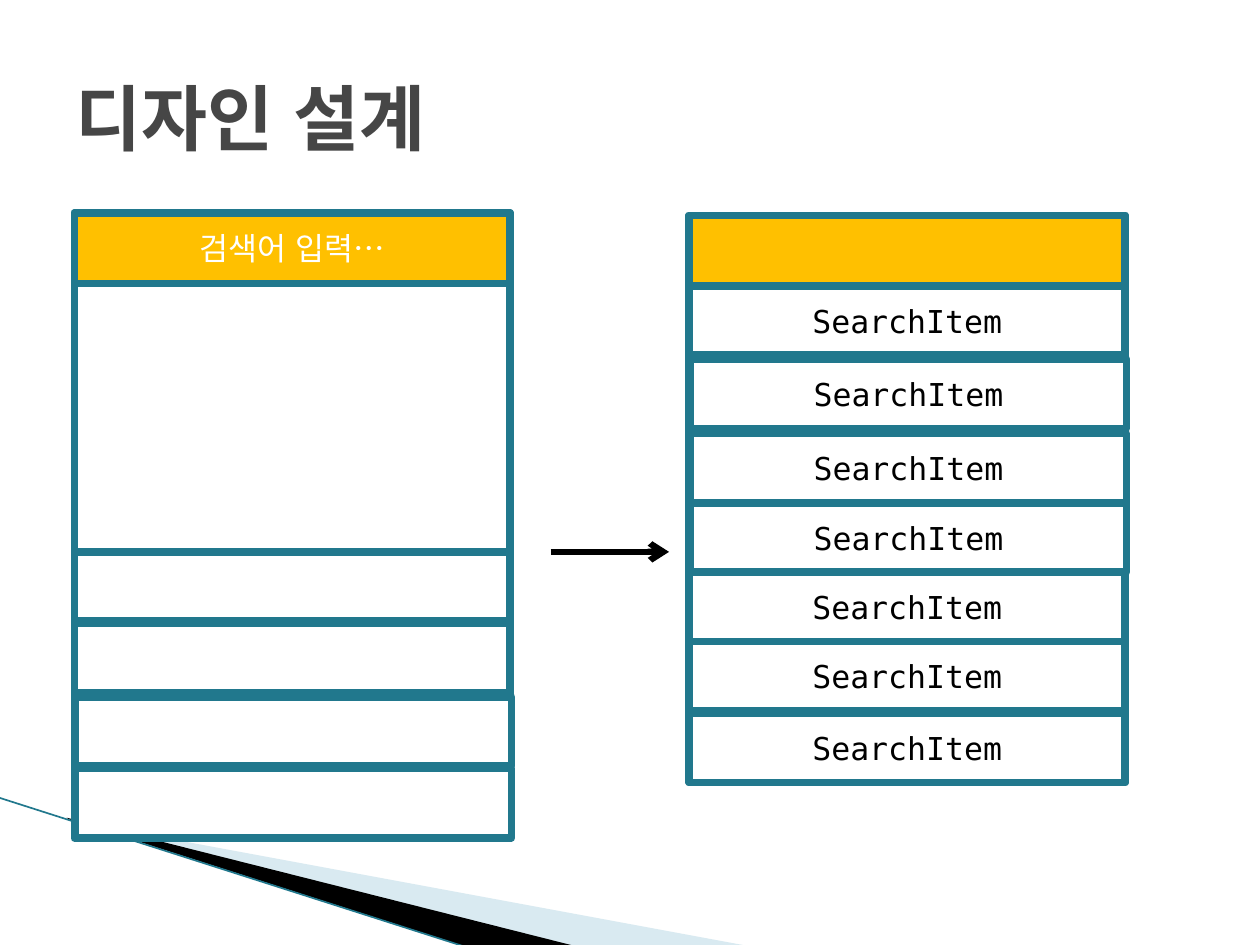
"""Build the search design slide: an input panel, an arrow and a result panel."""
from dataclasses import dataclass

from lxml.etree import SubElement
from pptx import Presentation
from pptx.dml.color import RGBColor
from pptx.enum.lang import MSO_LANGUAGE_ID
from pptx.enum.shapes import MSO_CONNECTOR, MSO_SHAPE
from pptx.enum.text import MSO_ANCHOR, MSO_AUTO_SIZE, PP_ALIGN
from pptx.oxml.ns import qn
from pptx.util import Inches, Pt

HUE = {"white": "FFFFFF", "black": "000000", "teal": "21788D",
       "gold": "FFC000", "sky": "A0CBDC", "gray": "464646"}
FONT = "DejaVu Sans Mono"
WIDE = 346
ROW = 55
HEAD = 56

deck = Presentation()
deck.slide_width, deck.slide_height = Inches(10), Inches(7.5)
UNIT = deck.slide_width // 1000
slide = deck.slides.add_slide(deck.slide_layouts[5])


@dataclass
class Box:
    """A bordered row or panel on the grid of 1000 columns by 750 rows."""
    col: int
    row: int
    tall: int = ROW
    fill: str = "white"
    text: str = ""
    ink: str = "black"


@dataclass
class Wedge:
    """A filled corner outline on the same grid."""
    dots: list[tuple[int, int]]
    fill: str
    alpha: int = 100


def tint(name: str) -> RGBColor:
    """Return a named colour."""
    return RGBColor.from_string(HUE[name])


def style(frame, size: float, ink: str, align: PP_ALIGN, bold: bool = False) -> None:
    """Format the one paragraph of a text frame."""
    frame.word_wrap = True
    frame.vertical_anchor = MSO_ANCHOR.MIDDLE
    para = frame.paragraphs[0]
    para.alignment = align
    for run in para.runs:
        run.font.name, run.font.size, run.font.bold = FONT, Pt(size), bold
        run.font.color.rgb = tint(ink)
        if not run.text.isascii():
            run.font.language_id = MSO_LANGUAGE_ID.KOREAN


def draw_box(box: Box) -> None:
    """Draw one bordered rectangle."""
    shape = slide.shapes.add_shape(
        MSO_SHAPE.RECTANGLE, *(n * UNIT for n in (box.col, box.row, WIDE, box.tall)))
    shape.shadow.inherit = False
    shape.fill.solid()
    shape.fill.fore_color.rgb = tint(box.fill)
    shape.line.color.rgb = tint("teal")
    shape.line.width = Pt(4.33)
    if box.text:
        shape.text_frame.text = box.text
        style(shape.text_frame, 18, box.ink, PP_ALIGN.CENTER)


def draw_wedge(wedge: Wedge) -> None:
    """Draw one filled outline."""
    pen = slide.shapes.build_freeform(*wedge.dots[0], scale=UNIT)
    pen.add_line_segments(wedge.dots[1:], close=True)
    shape = pen.convert_to_shape()
    shape.shadow.inherit = False
    shape.fill.solid()
    shape.fill.fore_color.rgb = tint(wedge.fill)
    shape.line.fill.background()
    if wedge.alpha < 100:
        hue = shape.fill._xPr.find(qn("a:solidFill"))[0]
        SubElement(hue, qn("a:alpha"), val=str(wedge.alpha * 1000))


def draw_line(ends: tuple[int, int, int, int], ink: str, width: float,
              arrow: bool = False) -> None:
    """Draw a straight line, with an arrowhead if asked."""
    line = slide.shapes.add_connector(MSO_CONNECTOR.STRAIGHT, *(n * UNIT for n in ends))
    line.line.color.rgb = tint(ink)
    line.line.width = Pt(width)
    if arrow:
        SubElement(line.line._get_or_add_ln(), qn("a:tailEnd"), type="arrow")
    SubElement(line._element.spPr, qn("a:effectLst"))


title = slide.shapes.title
title.left, title.top, title.width, title.height = (n * UNIT for n in (50, 30, 900, 125))
title.text_frame.text = "디자인 설계"
title.text_frame.auto_size = MSO_AUTO_SIZE.NONE
style(title.text_frame, 41, "gray", PP_ALIGN.LEFT, True)

for wedge in (Wedge([(55, 651), (595, 751), (456, 751), (55, 650)], "sky", 40),
              Wedge([(53, 649), (457, 751), (372, 752), (54, 650)], "black")):
    draw_wedge(wedge)
draw_line((-1, 633, 371, 752), "teal", 0.95)

entry = [Box(59, 169, 496), Box(59, 169, HEAD, "gold", "검색어 입력…", "white")]
entry += [Box(col, row) for col, row in ((59, 438), (59, 495), (60, 553), (60, 610))]
found = [Box(547, 171, 450), Box(547, 171, HEAD, "gold")]
spots = ((548, 399), (547, 454), (547, 509), (547, 566), (547, 227), (548, 285), (548, 344))
found += [Box(col, row, text="SearchItem") for col, row in spots]

for box in entry:
    draw_box(box)
draw_line((437, 438, 531, 438), "black", 3.5, True)
for box in found:
    draw_box(box)

deck.save("out.pptx")
